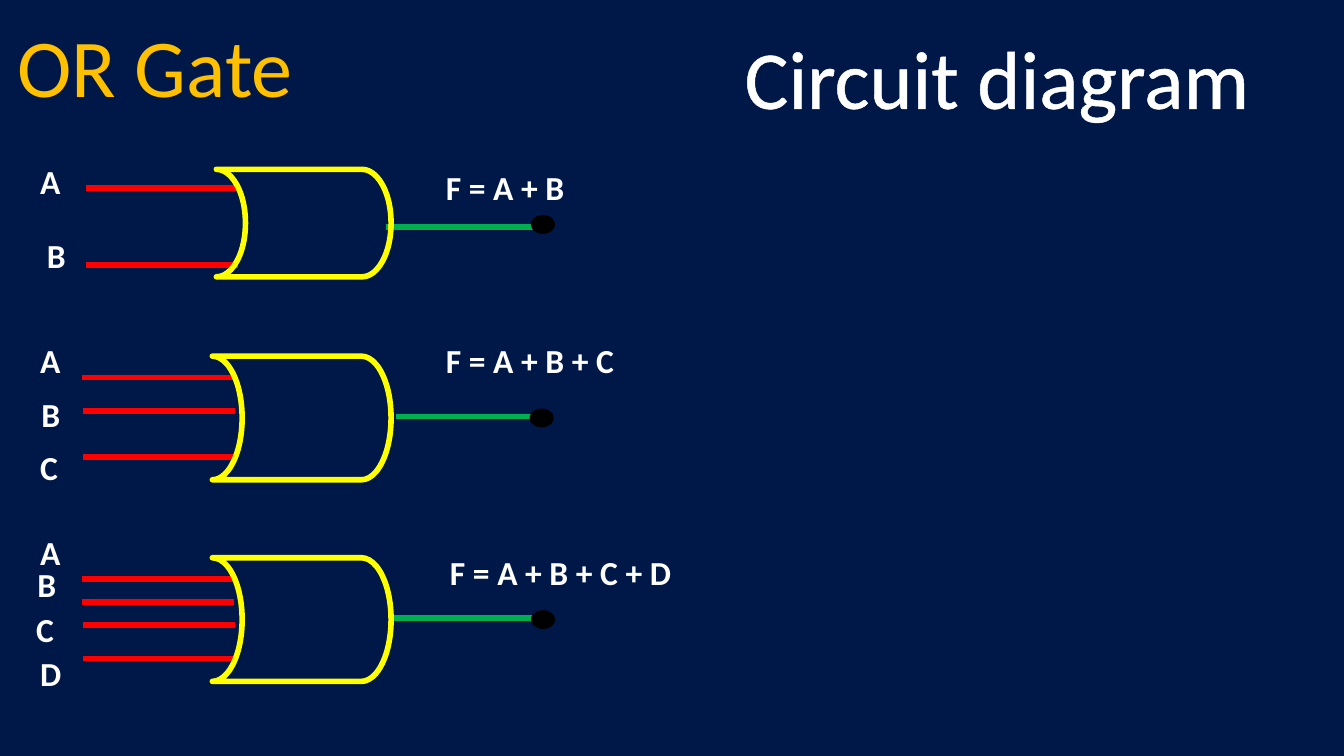
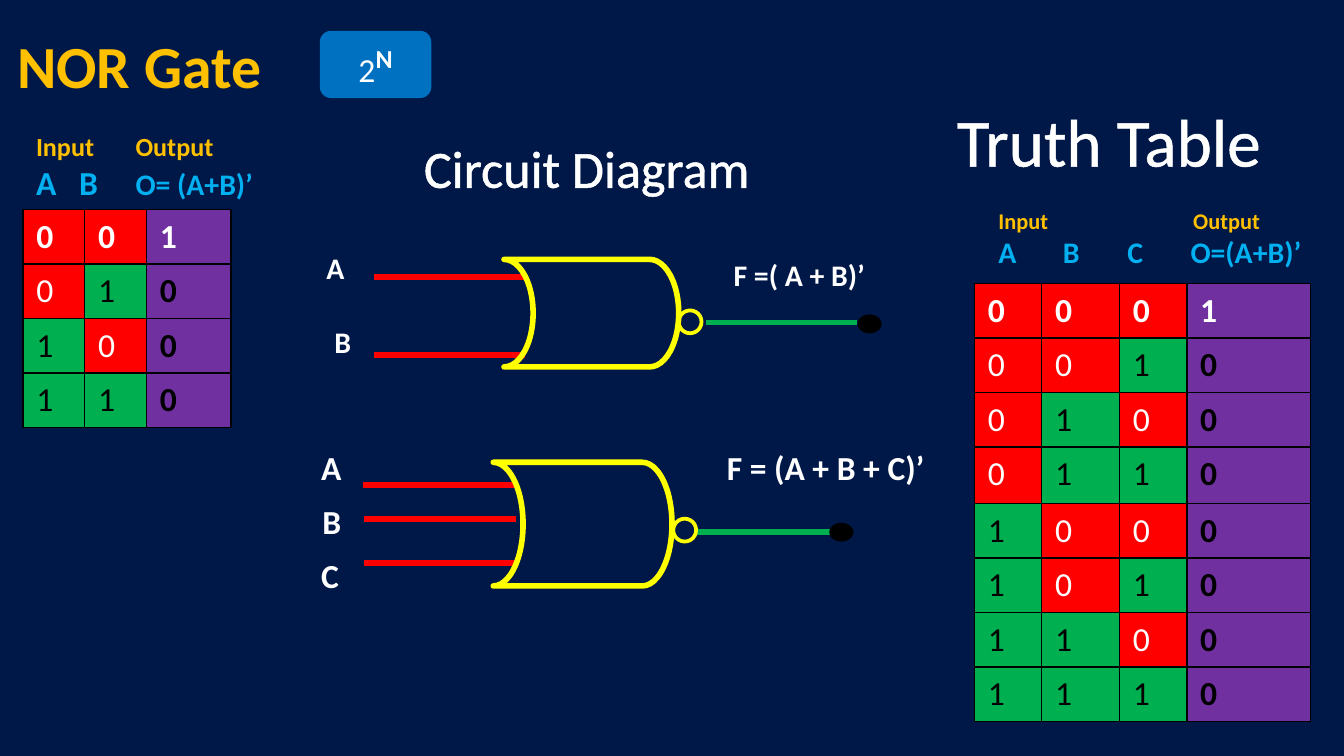
import itertools
from dataclasses import dataclass

import lxml.etree
import pptx
import pptx.dml.color
import pptx.enum.shapes
import pptx.enum.text
import pptx.oxml.ns
import pptx.shapes.autoshape
import pptx.shapes.shapetree
import pptx.slide
import pptx.util

Inches = pptx.util.Inches
Shape = pptx.enum.shapes.MSO_SHAPE
Align = pptx.enum.text.PP_ALIGN
Anchor = pptx.enum.text.MSO_ANCHOR
qn = pptx.oxml.ns.qn

COLORS = {
    "background": "001848",
    "gold": "FFC000",
    "sky": "00B0F0",
    "white": "FFFFFF",
    "black": "000000",
    "red": "FF0000",
    "green": "00B050",
    "yellow": "FFFF00",
    "purple": "7030A0",
    "blue": "0070C0",
}
FONT = "Calibri"
PAGE_WIDTH = Inches(10)
PAGE_HEIGHT = PAGE_WIDTH * 9 // 16
WIRE_LENGTH = 1.13
DOT_SIZE = (0.18, 0.14)
BUBBLE_SIZE = (0.17, 0.17)

Point = tuple[float, float]
Area = tuple[float, float, float, float]


@dataclass
class Span:
    text: str
    size: float
    color: str = "white"
    bold: bool = False
    outline: float = 0
    raised: bool = False


@dataclass
class Input:
    label: str
    label_at: Point
    wire_at: Point


@dataclass
class Circuit:
    inputs: list[Input]
    gate: Area
    output_at: Point
    dot_at: Point
    formula: str
    formula_at: Area
    bubble_at: Point | None = None
    size: float = 18


@dataclass
class TruthTable:
    at: Point
    column_widths: list[float]
    row_heights: list[float]


@dataclass
class Header:
    at: Area
    rows: list[tuple[list[Span], list[float]]]


OR_CIRCUITS = [
    Circuit(
        [Input("A", (0.2, 1.15), (0.64, 1.4)), Input("B", (0.25, 1.7), (0.64, 1.97))],
        (1.61, 1.26, 1.3, 0.8), (2.87, 1.69), (3.95, 1.6),
        "F = A + B", (3.22, 1.19, 1.1, 0.4)),
    Circuit(
        [Input("A", (0.2, 2.48), (0.61, 2.81)), Input("B", (0.21, 2.88), (0.62, 3.06)),
         Input("C", (0.2, 3.28), (0.62, 3.4))],
        (1.58, 2.65, 1.33, 0.92), (2.95, 3.1), (3.94, 3.04),
        "F = A + B + C", (3.22, 2.48, 1.47, 0.4)),
    Circuit(
        [Input("A", (0.2, 3.91), (0.61, 4.31)), Input("B", (0.18, 4.15), (0.61, 4.48)),
         Input("C", (0.17, 4.48), (0.62, 4.65)), Input("D", (0.2, 4.81), (0.62, 4.9))],
        (1.58, 4.15, 1.33, 0.92), (2.92, 4.6), (3.95, 4.54),
        "F = A + B + C + D", (3.25, 4.06, 1.87, 0.4)),
]

NOR_CIRCUITS = [
    Circuit(
        [Input("A", (2.33, 1.81), (2.78, 2.06)), Input("B", (2.39, 2.36), (2.78, 2.64))],
        (3.75, 1.93, 1.3, 0.8), (5.25, 2.4), (6.38, 2.34),
        "F =( A + B)’", (5.36, 1.86, 1.19, 0.37), (5.05, 2.31), 16),
    Circuit(
        [Input("A", (2.29, 3.28), (2.7, 3.61)), Input("B", (2.3, 3.68), (2.71, 3.86)),
         Input("C", (2.29, 4.08), (2.71, 4.19))],
        (3.67, 3.44, 1.33, 0.92), (5.17, 3.96), (6.17, 3.89),
        "F = (A + B + C)’", (5.31, 3.28, 1.69, 0.4), (5.01, 3.86)),
]

TRUTH_TABLES = [
    TruthTable((0.17, 1.56), [0.46, 0.46, 0.63], [0.4] * 4),
    TruthTable((7.25, 2.11), [0.5, 0.58, 0.5, 0.92], [0.4] * 3 + [0.42] + [0.4] * 4),
]

HEADERS = [
    Header((0.17, 0.92, 1.9, 0.64), [
        ([Span("Input\tOutput", 14, "gold", True)], [0.74]),
        ([Span("A\tB\t", 18, "sky", True), Span("O= (A+B)’", 16, "sky", True)], [0.32, 0.74]),
    ]),
    Header((7.33, 1.49, 2.58, 0.57), [
        ([Span("Input\tOutput", 12, "gold", True)], [1.45]),
        ([Span("A\tB\tC\tO=(A+B)’", 16, "sky", True)], [0.48, 0.96, 1.43]),
    ]),
]


def rgb(name: str) -> pptx.dml.color.RGBColor:
    return pptx.dml.color.RGBColor.from_string(COLORS[name])


def add_line_xml(parent, tag: str, width: float, color: str) -> None:
    """Append a solid line element, such as a text outline or a cell border."""
    line = lxml.etree.SubElement(parent, qn(tag), w=str(pptx.util.Pt(width)))
    solid = lxml.etree.SubElement(line, qn("a:solidFill"))
    lxml.etree.SubElement(solid, qn("a:srgbClr"), val=COLORS[color])


def write(para, spans: list[Span]) -> None:
    for span in spans:
        run = para.add_run()
        run.text = span.text
        properties = run._r.get_or_add_rPr()
        if span.outline:
            add_line_xml(properties, "a:ln", span.outline, "white")
        if span.raised:
            properties.set("baseline", "30000")
        run.font.name = FONT
        run.font.size = pptx.util.Pt(span.size)
        run.font.bold = span.bold
        run.font.color.rgb = rgb(span.color)


def add_text(shapes: pptx.shapes.shapetree._BaseGroupShapes, at: Area, span: Span | None = None,
             align: Align = Align.LEFT, wrap: bool = False) -> pptx.shapes.autoshape.Shape:
    box = shapes.add_textbox(*map(Inches, at))
    frame = box.text_frame
    frame.word_wrap = wrap
    frame.auto_size = pptx.enum.text.MSO_AUTO_SIZE.SHAPE_TO_FIT_TEXT
    if span:
        frame.paragraphs[0].alignment = align
        write(frame.paragraphs[0], [span])
    return box


def add_shape(shapes: pptx.shapes.shapetree._BaseGroupShapes, kind: Shape, at: Area,
              fill: str = "", line: str = "", width: float = 0) -> pptx.shapes.autoshape.Shape:
    shape = shapes.add_shape(kind, *map(Inches, at))
    shape.shadow.inherit = False
    if fill:
        shape.fill.solid()
        shape.fill.fore_color.rgb = rgb(fill)
    else:
        shape.fill.background()
    if line:
        shape.line.color.rgb = rgb(line)
        shape.line.width = pptx.util.Pt(width)
    else:
        shape.line.fill.background()
    return shape


def add_wire(shapes: pptx.shapes.shapetree._BaseGroupShapes, start: Point, color: str) -> None:
    x, y = start
    wire = shapes.add_connector(pptx.enum.shapes.MSO_CONNECTOR.STRAIGHT,
                                Inches(x), Inches(y), Inches(x + WIRE_LENGTH), Inches(y))
    wire.line.color.rgb = rgb(color)
    wire.line.width = pptx.util.Pt(3)
    lxml.etree.SubElement(wire._element.spPr, qn("a:effectLst"))


def add_circuit(page: pptx.slide.Slide, circuit: Circuit) -> None:
    shapes = page.shapes.add_group_shape().shapes
    add_wire(shapes, circuit.output_at, "green")
    for entry in circuit.inputs:
        add_wire(shapes, entry.wire_at, "red")
        add_text(shapes, (*entry.label_at, 0.35, circuit.formula_at[3]),
                 Span(entry.label, circuit.size, bold=True))
    add_text(shapes, circuit.formula_at, Span(circuit.formula, circuit.size, bold=True))
    add_shape(shapes, Shape.OVAL, (*circuit.dot_at, *DOT_SIZE), fill="black")
    gate = add_shape(shapes, Shape.FLOWCHART_STORED_DATA, circuit.gate, line="yellow", width=3)
    gate.rotation = 180
    if circuit.bubble_at:
        add_shape(shapes, Shape.FLOWCHART_CONNECTOR, (*circuit.bubble_at, *BUBBLE_SIZE),
                  line="yellow", width=2)


def fill_cell(cell, fill: str, span: Span) -> None:
    properties = cell._tc.get_or_add_tcPr()
    for side in ("a:lnL", "a:lnR", "a:lnT", "a:lnB"):
        add_line_xml(properties, side, 1, "black")
    cell.fill.solid()
    cell.fill.fore_color.rgb = rgb(fill)
    write(cell.text_frame.paragraphs[0], [span])


def add_truth_table(page: pptx.slide.Slide, truth: TruthTable) -> None:
    """Draw every input combination with its NOR result in the last column."""
    widths, heights = truth.column_widths, truth.row_heights
    frame = page.shapes.add_table(len(heights), len(widths), *map(Inches, truth.at),
                                  Inches(sum(widths)), Inches(sum(heights)))
    table = frame.table
    table.first_row = table.horz_banding = False
    for column, width in zip(table.columns, widths):
        column.width = Inches(width)
    for row, height in zip(table.rows, heights):
        row.height = Inches(height)
    for i, bits in enumerate(itertools.product((0, 1), repeat=len(widths) - 1)):
        for j, bit in enumerate(bits):
            fill, color = ("green", "black") if bit else ("red", "white")
            fill_cell(table.cell(i, j), fill, Span(str(bit), 18, color, bold=i == 0))
        result = int(not any(bits))
        fill_cell(table.cell(i, len(bits)), "purple",
                  Span(str(result), 18, "white" if result else "black", bold=True))


def add_header(page: pptx.slide.Slide, header: Header) -> None:
    frame = add_text(page.shapes, header.at, wrap=True).text_frame
    for i, (spans, stops) in enumerate(header.rows):
        para = frame.add_paragraph() if i else frame.paragraphs[0]
        tabs = lxml.etree.SubElement(para._p.get_or_add_pPr(), qn("a:tabLst"))
        for stop in stops:
            lxml.etree.SubElement(tabs, qn("a:tab"), pos=str(Inches(stop)), algn="l")
        write(para, spans)


def add_page(deck, title: str, size: float, width: float, bold: bool) -> pptx.slide.Slide:
    page = deck.slides.add_slide(deck.slide_layouts[6])
    page.background.fill.solid()
    page.background.fill.fore_color.rgb = rgb("background")
    frame = add_text(page.shapes, (0.03, 0.01, width, 0.94),
                     Span(title, size, "gold", bold), wrap=True).text_frame
    frame.auto_size = pptx.enum.text.MSO_AUTO_SIZE.NONE
    frame.vertical_anchor = Anchor.MIDDLE
    return page


def add_heading(page: pptx.slide.Slide, at: Area, text: str, size: float) -> None:
    add_text(page.shapes, at, Span(text, size, outline=1.45), Align.CENTER)


def build_or_page(deck) -> None:
    page = add_page(deck, "OR Gate", 44, 9, False)
    for circuit in OR_CIRCUITS:
        add_circuit(page, circuit)
    add_heading(page, (5.42, 0.15, 4, 0.84), "Circuit diagram", 44)


def build_nor_page(deck) -> None:
    page = add_page(deck, "NOR Gate", 32, 2.1, True)
    for truth in TRUTH_TABLES:
        add_truth_table(page, truth)
    badge = add_shape(page.shapes, Shape.ROUNDED_RECTANGLE, (2.38, 0.23, 0.83, 0.5), fill="blue")
    badge.text_frame.vertical_anchor = Anchor.MIDDLE
    para = badge.text_frame.paragraphs[0]
    para.alignment = Align.CENTER
    write(para, [Span("2", 18), Span("N", 24, bold=True, raised=True)])
    for header in HEADERS:
        add_header(page, header)
    add_heading(page, (7.01, 0.69, 2.48, 0.71), "Truth Table", 36)
    add_heading(page, (3.04, 0.96, 2.65, 0.57), "Circuit Diagram", 28)
    for circuit in NOR_CIRCUITS:
        add_circuit(page, circuit)


def main() -> None:
    deck = pptx.Presentation()
    deck.slide_width, deck.slide_height = PAGE_WIDTH, PAGE_HEIGHT
    build_or_page(deck)
    build_nor_page(deck)
    deck.save("out.pptx")


if __name__ == "__main__":
    main()
